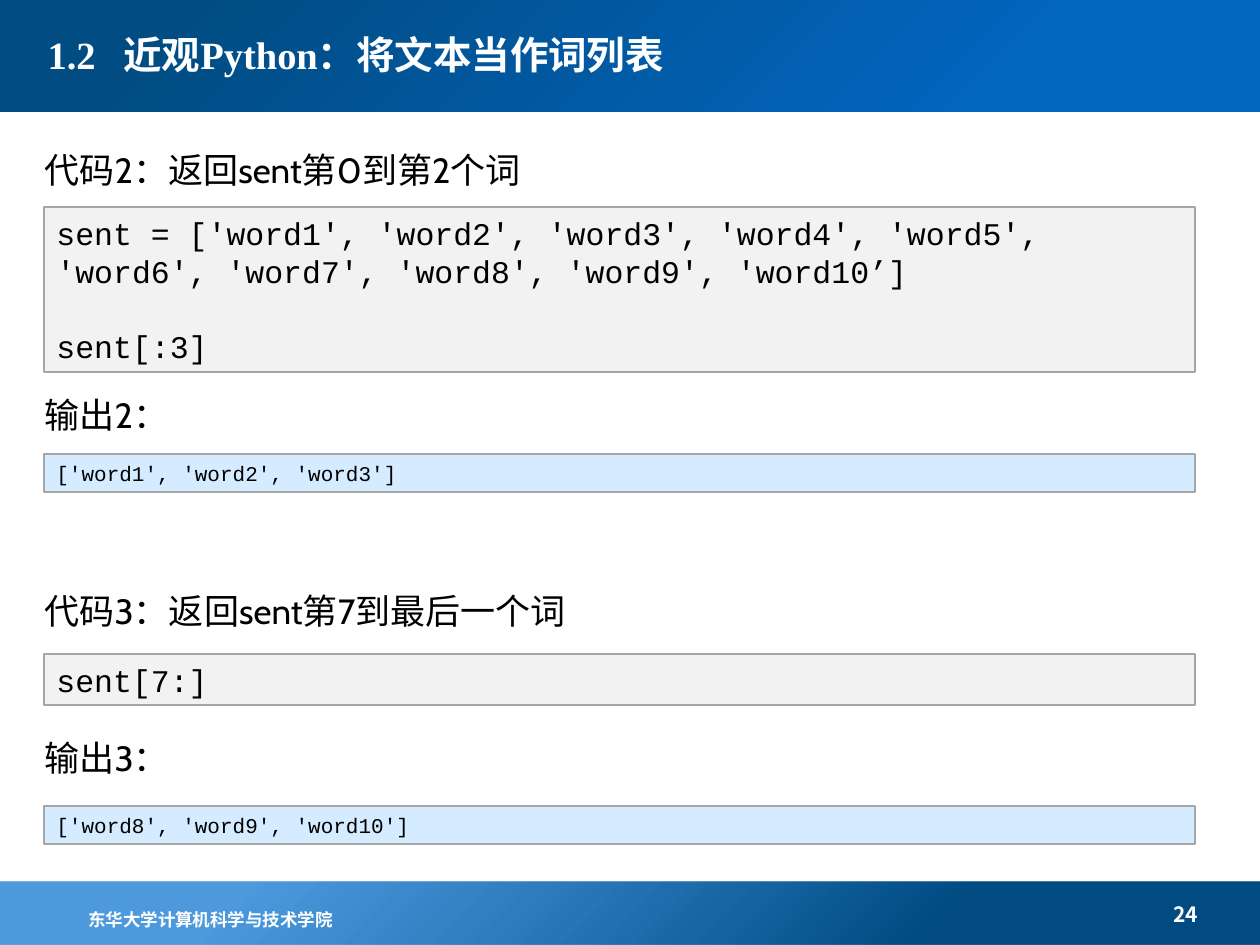
from lxml import etree
from pptx import Presentation
from pptx.dml.color import RGBColor
from pptx.enum.shapes import MSO_SHAPE
from pptx.enum.text import MSO_ANCHOR, MSO_AUTO_SIZE, PP_ALIGN
from pptx.oxml.ns import qn
from pptx.util import Pt

RECT = MSO_SHAPE.RECTANGLE
LEFT = PP_ALIGN.LEFT
TOP, MIDDLE = MSO_ANCHOR.TOP, MSO_ANCHOR.MIDDLE
FIXED = MSO_AUTO_SIZE.NONE

WHITE = RGBColor(0xFF, 0xFF, 0xFF)
BLACK = RGBColor(0, 0, 0)
GREY = RGBColor(0xF2, 0xF2, 0xF2)
PALE = RGBColor(0xD5, 0xEB, 0xFF)
EDGE = RGBColor(0xA6, 0xA6, 0xA6)
NAVY = RGBColor(0x01, 0x4C, 0x83)
BLUE = RGBColor(0x02, 0x65, 0xBF)
SKY = RGBColor(0x02, 0x6D, 0xCE)

SANS, SERIF = "Noto Sans CJK SC", "Times New Roman"
BODY, MONO = "Cabin", "Courier New"
SCALE = 914400 / 126
BODY_LINE, BODY_STEP = 26, 28


def px(*vals):
    return [round(val * SCALE) for val in vals]


def place(shape, box):
    shape.left, shape.top, shape.width, shape.height = px(*box)


def add_run(para, text, font, size, color, bold=False):
    run = para.add_run()
    run.text = text
    run.font.name, run.font.size, run.font.bold = font, Pt(size), bold
    run.font.color.rgb = color
    east = etree.SubElement(run.font._element, qn("a:ea"))
    east.set("typeface", SANS)


def set_frame(shape, anchor):
    frame = shape.text_frame
    frame.word_wrap = True
    frame.auto_size = FIXED
    frame.vertical_anchor = anchor
    return frame


def add_paras(frame, items, font, size, line):
    for num, (text, gap) in enumerate(items):
        para = frame.add_paragraph() if num else frame.paragraphs[0]
        para.alignment = LEFT
        para.line_spacing = Pt(line)
        para.space_before = Pt(gap)
        add_run(para, text, font, size, BLACK)


def add_bar(slide, box, stops):
    bar = slide.shapes.add_shape(RECT, *px(*box))
    bar.shadow.inherit = False
    bar.line.fill.background()
    bar.fill.solid()
    solid = bar._element.spPr.find(qn("a:solidFill"))
    grad = etree.Element(qn("a:gradFill"), rotWithShape="1")
    gsl = etree.SubElement(grad, qn("a:gsLst"))
    for pos, color, alpha in stops:
        stop = etree.SubElement(gsl, qn("a:gs"), pos=str(pos * 1000))
        tone = etree.SubElement(stop, qn("a:srgbClr"), val=str(color))
        if alpha < 100:
            etree.SubElement(tone, qn("a:alpha"), val=str(alpha * 1000))
    way = etree.SubElement(grad, qn("a:path"), path="circle")
    etree.SubElement(way, qn("a:fillToRect"), l="100000", t="100000")
    solid.getparent().replace(solid, grad)
    slide.shapes._spTree.insert(2, bar._element)


def add_note(slide, box, text, size):
    note = slide.shapes.add_textbox(*px(*box))
    para = set_frame(note, TOP).paragraphs[0]
    add_run(para, text, SANS, size, WHITE, True)


def add_code(slide, top, height, fill, size, items):
    code = slide.shapes.add_shape(RECT, *px(44, top, 1151, height))
    code.shadow.inherit = False
    code.fill.solid()
    code.fill.fore_color.rgb = fill
    code.line.color.rgb = EDGE
    code.line.width = Pt(0.75)
    add_paras(set_frame(code, MIDDLE), items, MONO, size, size * 1.2)


def fill_title(shape):
    place(shape, (35, 1, 804, 107))
    para = set_frame(shape, MIDDLE).paragraphs[0]
    para.alignment = LEFT
    tabs = etree.SubElement(para._p.get_or_add_pPr(), qn("a:tabLst"))
    etree.SubElement(tabs, qn("a:tab"), pos=str(px(76)[0]), algn="l")
    add_run(para, "1.2\t近观Python：将文本当作词列表", SERIF, 22, WHITE, True)


def fill_body(shape, rows):
    place(shape, (32, 139, 1183, 714))
    frame = set_frame(shape, TOP)
    items = [(text, step * BODY_STEP - BODY_LINE if step else 0)
             for text, step in rows]
    add_paras(frame, items, BODY, 20, BODY_LINE)
    for para in frame.paragraphs:
        props = para._p.get_or_add_pPr()
        props.set("marL", "0")
        props.set("indent", "0")
        etree.SubElement(props, qn("a:buNone"))


def main():
    prs = Presentation()
    prs.slide_width, prs.slide_height = px(1260, 945)
    slide = prs.slides.add_slide(prs.slide_layouts[1])
    add_bar(slide, (0, -4, 1260, 116), [(21, BLUE, 100), (86, NAVY, 100)])
    add_bar(slide, (-2, 882, 1262, 63), [(26, NAVY, 100), (80, SKY, 70)])
    add_note(slide, (1161, 895, 88, 39), "24", 12)
    add_note(slide, (76, 903, 467, 39), "东华大学计算机科学与技术学院", 10)

    title, body = slide.placeholders
    fill_title(title)
    fill_body(body, [
        ("代码2：返回sent第0到第2个词", 0),
        ("输出2：", 5),
        ("代码3：返回sent第7到最后一个词", 4),
        ("输出3：", 3),
    ])

    words = ("sent = ['word1', 'word2', 'word3', 'word4', 'word5', "
             "'word6', 'word7', 'word8', 'word9', 'word10’]")
    add_code(slide, 207, 165, GREY, 18, [(words, 0), ("sent[:3]", 21.6)])
    add_code(slide, 454, 38, PALE, 12, [("['word1', 'word2', 'word3']", 0)])
    add_code(slide, 654, 51, GREY, 18, [("sent[7:]", 0)])
    add_code(slide, 806, 38, PALE, 12, [("['word8', 'word9', 'word10']", 0)])
    prs.save("out.pptx")


if __name__ == "__main__":
    main()
